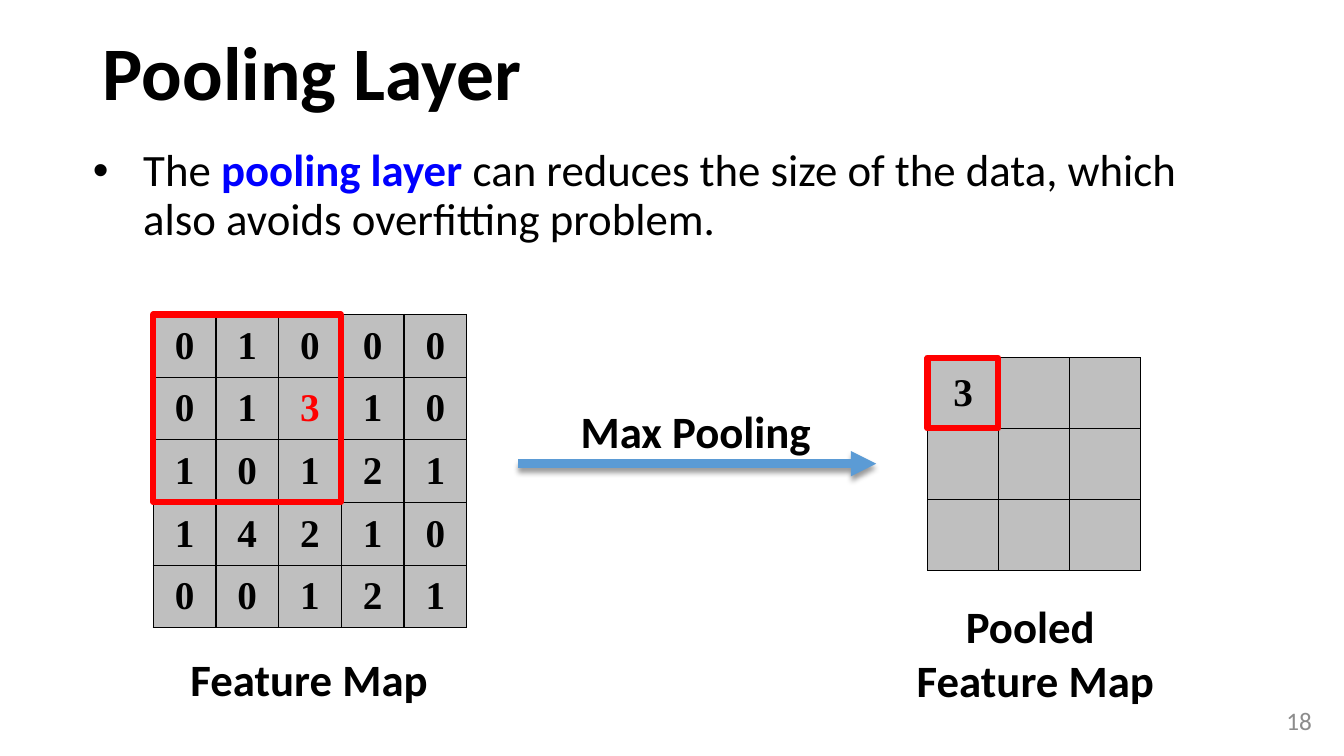
from lxml.etree import SubElement
from pptx import Presentation
from pptx.dml.color import RGBColor
from pptx.enum.shapes import MSO_CONNECTOR, MSO_SHAPE
from pptx.enum.text import MSO_ANCHOR, MSO_AUTO_SIZE, PP_ALIGN
from pptx.oxml import parse_xml
from pptx.oxml.ns import nsdecls, qn
from pptx.util import Inches, Pt

BLACK = RGBColor(0x00, 0x00, 0x00)
BLUE = RGBColor(0x00, 0x00, 0xFF)
RED = RGBColor(0xFF, 0x00, 0x00)
CELL_GRAY = RGBColor(0xBF, 0xBF, 0xBF)
NUMBER_GRAY = RGBColor(0x8C, 0x8C, 0x8C)
ARROW_BLUE = RGBColor(0x5B, 0x9B, 0xD5)


def add_span(para, text, size, color=BLACK, bold=True, name="Calibri"):
    span = para.add_run()
    span.text = text
    span.font.color.rgb = color
    for key, value in {"size": Pt(size), "bold": bold, "name": name}.items():
        setattr(span.font, key, value)


def place(shape, left, top, width, height):
    edges = {"left": left, "top": top, "width": width, "height": height}
    for key, value in edges.items():
        setattr(shape, key, Inches(value))


deck = Presentation()
deck.slide_width = Inches(13.33)
deck.slide_height = Inches(7.5)
page = deck.slides.add_slide(deck.slide_layouts[1])

title = page.shapes.title
place(title, 0.92, 0.19, 11.5, 1.13)
title.text_frame.vertical_anchor = MSO_ANCHOR.MIDDLE
title.text_frame.auto_size = MSO_AUTO_SIZE.NONE
para = title.text_frame.paragraphs[0]
para.alignment = PP_ALIGN.LEFT
para.line_spacing = 0.9
add_span(para, "Pooling Layer", 54)

body = page.placeholders[1]
place(body, 0.82, 1.42, 11.69, 1.13)
body.text_frame.auto_size = MSO_AUTO_SIZE.NONE
para = body.text_frame.paragraphs[0]
para.line_spacing = 0.9
para.space_before = Pt(0)
properties = para._p.get_or_add_pPr()
properties.set("marL", str(Inches(0.5)))
properties.set("indent", str(-Inches(0.5)))
SubElement(properties, qn("a:buFont")).set("typeface", "Arial")
SubElement(properties, qn("a:buChar")).set("char", "•")
add_span(para, "The ", 32, bold=False)
add_span(para, "pooling layer ", 32, BLUE)
add_span(para, "can reduces the size of the data, which also avoids overfitting problem.", 32, bold=False)

feature_map = ["01000", "01310", "10121", "14210", "00121"]
pooled_map = ["3  ", "   ", "   "]
grids = [
    (feature_map, 1.52, 3.12, 3.11, 0.08, 0.04, (1, 2)),
    (pooled_map, 9.2, 3.55, 2.11, 0.09, 0.05, None),
]
for rows, left, top, side, inset_x, inset_y, maximum in grids:
    count = len(rows)
    table = page.shapes.add_table(
        count, count, Inches(left), Inches(top), Inches(side), Inches(side)
    ).table
    table.first_row = False
    table.horz_banding = False
    for index in range(count):
        table.columns[index].width = Inches(side / count)
        table.rows[index].height = Inches(side / count)
    for row, values in enumerate(rows):
        for column, value in enumerate(values):
            cell = table.cell(row, column)
            for edge in ("lnL", "lnR", "lnT", "lnB"):
                cell._tc.get_or_add_tcPr().append(parse_xml(
                    f'<a:{edge} {nsdecls("a")} w="12700"><a:solidFill>'
                    f'<a:srgbClr val="{BLACK}"/></a:solidFill></a:{edge}>'
                ))
            cell.fill.solid()
            cell.fill.fore_color.rgb = CELL_GRAY
            cell.vertical_anchor = MSO_ANCHOR.MIDDLE
            cell.margin_left = cell.margin_right = Inches(inset_x)
            cell.margin_top = cell.margin_bottom = Inches(inset_y)
            if value.strip():
                para = cell.text_frame.paragraphs[0]
                para.alignment = PP_ALIGN.CENTER
                color = RED if (row, column) == maximum else BLACK
                add_span(para, value, 28, color, name="Times New Roman")

for left, top, side in [(1.52, 3.12, 1.86), (9.2, 3.55, 0.7)]:
    window = page.shapes.add_shape(
        MSO_SHAPE.RECTANGLE, Inches(left), Inches(top), Inches(side), Inches(side)
    )
    window.shadow.inherit = False
    window.fill.background()
    window.line.color.rgb = RED
    window.line.width = Pt(4.5)

labels = [
    (["Feature Map"], 1.79, 6.42, 2.58, 0.64, PP_ALIGN.LEFT),
    (["Pooled ", "Feature Map"], 8.98, 5.89, 2.58, 1.18, PP_ALIGN.CENTER),
    (["Max Pooling"], 5.66, 3.96, 2.51, 0.64, PP_ALIGN.LEFT),
]
for lines, left, top, width, height, alignment in labels:
    box = page.shapes.add_textbox(Inches(left), Inches(top), Inches(width), Inches(height))
    box.text_frame.word_wrap = False
    box.text_frame.auto_size = MSO_AUTO_SIZE.SHAPE_TO_FIT_TEXT
    for index, line in enumerate(lines):
        para = box.text_frame.add_paragraph() if index else box.text_frame.paragraphs[0]
        para.alignment = alignment
        add_span(para, line, 32)

arrow = page.shapes.add_connector(
    MSO_CONNECTOR.STRAIGHT, Inches(5.14), Inches(4.6), Inches(8.69), Inches(4.6)
)
arrow.line.color.rgb = ARROW_BLUE
arrow.line.width = Pt(6)
SubElement(arrow.line._get_or_add_ln(), qn("a:tailEnd")).set("type", "triangle")
arrow._element.spPr.append(parse_xml(
    f'<a:effectLst {nsdecls("a")}>'
    f'<a:outerShdw blurRad="{Pt(4)}" dist="{Pt(3)}" dir="5400000" rotWithShape="0">'
    f'<a:srgbClr val="{BLACK}"><a:alpha val="40000"/></a:srgbClr>'
    '</a:outerShdw></a:effectLst>'
))

number = page.shapes.add_textbox(Inches(12.16), Inches(6.95), Inches(0.95), Inches(0.4))
number.text_frame.word_wrap = True
number.text_frame.vertical_anchor = MSO_ANCHOR.MIDDLE
para = number.text_frame.paragraphs[0]
para.alignment = PP_ALIGN.RIGHT
add_span(para, "18", 18, NUMBER_GRAY, bold=False)

deck.save("out.pptx")
